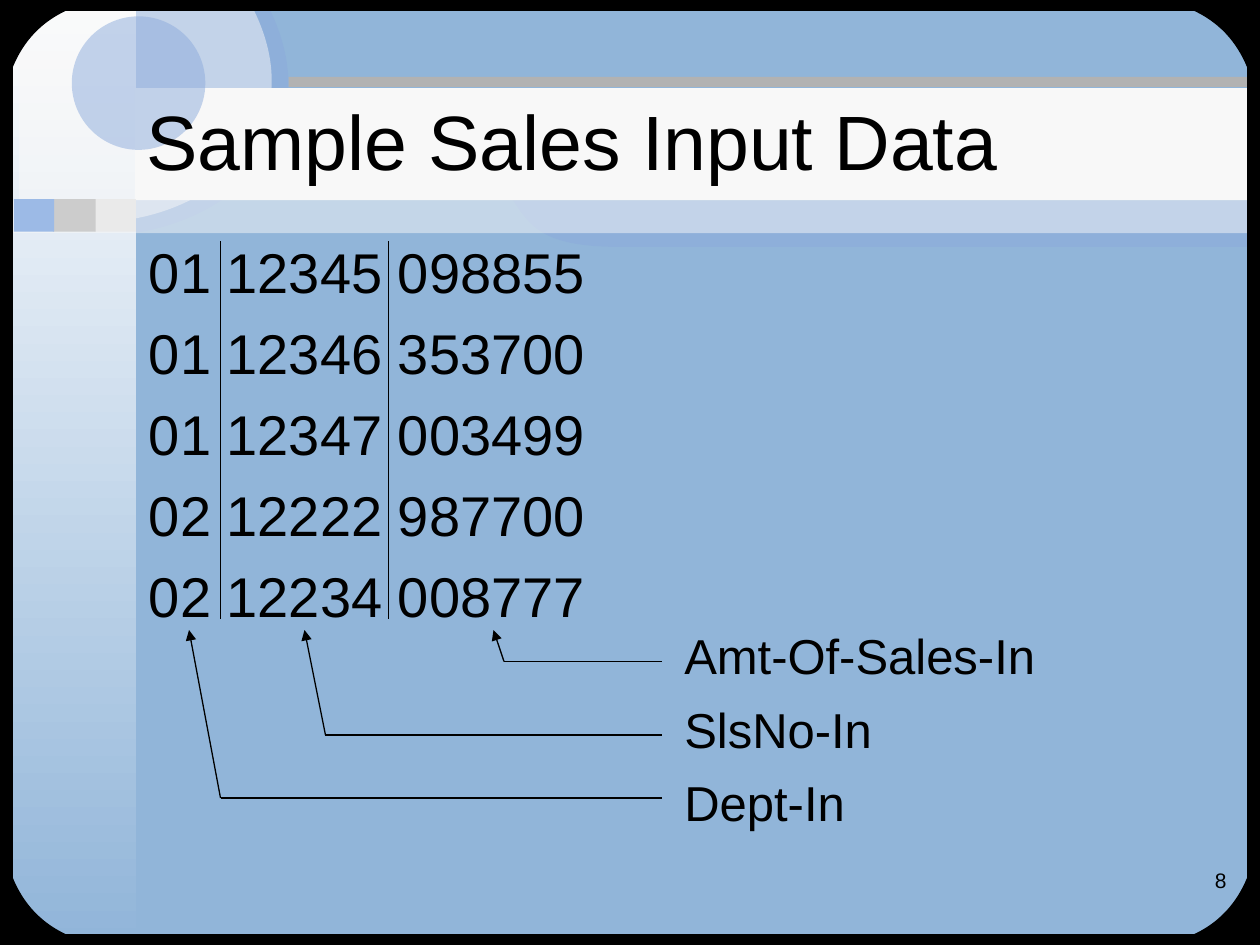
from pptx import Presentation
from pptx.dml.color import RGBColor
from pptx.enum.shapes import MSO_CONNECTOR as Line, MSO_SHAPE as Preset
from pptx.enum.text import MSO_ANCHOR as Anchor, MSO_AUTO_SIZE as AutoSize, PP_ALIGN as Align
from pptx.oxml.ns import qn
from pptx.util import Inches, Pt
from lxml.etree import SubElement

WIDTH, HEIGHT = 10, 7.5
BLACK = RGBColor(0x00, 0x00, 0x00)
SKY = RGBColor(0x91, 0xB5, 0xD9)
BLUE = RGBColor(0x8C, 0xAB, 0xDC)
PALE = RGBColor(0xF8, 0xF8, 0xF8)
WHITE = RGBColor(0xFE, 0xFE, 0xFE)
GRAY = RGBColor(0xB2, 0xB2, 0xB2)
TILES = [
    (0.75, 0.33, RGBColor(0xEA, 0xEA, 0xEA)),
    (0.42, 0.34, RGBColor(0xCC, 0xCC, 0xCC)),
    (0.11, 0.32, RGBColor(0x9C, 0xBA, 0xE6)),
]
SWOOSH = [(4.07, 1.59), (6.99, 1.59), (9.91, 1.59), (9.91, 1.59),
          (9.91, 1.59), (9.91, 1.78), (9.91, 1.96),
          (7.13, 1.96), (5.65, 1.96), (4.91, 1.96),
          (4.29, 1.96), (4.2, 1.78), (4.07, 1.59)]
OUTER_ARC = [(2.13, 0.05), (2.81, 1.41), (1.16, 2.21), (0.15, 1.73),
             (0.15, 1.62), (0.15, 0.32), (0.15, 0.05),
             (0.57, 0.05), (1.48, 0.05), (2.13, 0.05)]
INNER_ARC = [(2.01, 0.07), (2.64, 1.34), (1.09, 2.08), (0.15, 1.63),
             (0.15, 1.53), (0.15, 0.32), (0.15, 0.07),
             (0.54, 0.07), (1.39, 0.07), (2.01, 0.07)]
CORNER = [(0, 0.88), (0, 0.68), (0.01, 0.44), (0.01, 0),
          (0.24, 0), (0.65, 0), (0.77, 0),
          (0.09, 0.14), (0.05, 0.7), (0, 0.88)]
RECORDS = ["01 12345 098855", "01 12346 353700", "01 12347 003499",
           "02 12222 987700", "02 12234 008777"]
FIELDS = [("Amt-Of-Sales-In", 63, 48, 47),
          ("SlsNo-In", 70, 31, 29),
          ("Dept-In", 76, 21, 18)]


def twelfths(*counts):
    """Return lengths in inches on a grid of twelve per inch."""
    return tuple(count / 12 for count in counts)


def paint(shape, color, alpha=100, outlined=False):
    """Give a shape a flat fill, optionally see-through or outlined."""
    shape.shadow.inherit = False
    shape.fill.solid()
    shape.fill.fore_color.rgb = color
    if alpha < 100:
        tint = shape.fill._xPr.find(qn("a:solidFill"))[0]
        SubElement(tint, qn("a:alpha"), val=str(alpha * 1000))
    if outlined:
        shape.line.color.rgb = color
        shape.line.width = Pt(0.75)
    else:
        shape.line.fill.background()


def add_block(page, bounds, color, alpha=100, outlined=False, preset=Preset.RECTANGLE):
    """Add a painted preset shape."""
    block = page.shapes.add_shape(preset, *map(Inches, bounds))
    paint(block, color, alpha, outlined)
    return block


def add_curve(page, knots, color, alpha=100, outlined=False):
    """Add a closed, painted outline made of cubic curves."""
    points = [(Inches(x), Inches(y)) for x, y in knots]
    builder = page.shapes.build_freeform(*points[0])
    builder.add_line_segments(points[1:], close=True)
    shape = builder.convert_to_shape()
    segments = list(shape._element.iter(qn("a:lnTo")))
    for start in range(0, len(segments), 3):
        curve, *controls = segments[start:start + 3]
        bezier = curve.makeelement(qn("a:cubicBezTo"))
        curve.addprevious(bezier)
        for segment in (curve, *controls):
            bezier.append(segment[0])
            segment.getparent().remove(segment)
    paint(shape, color, alpha, outlined)


def add_line(page, start, end, arrow=False):
    """Add a thin black line, optionally with an arrowhead at its end."""
    line = page.shapes.add_connector(Line.STRAIGHT, *map(Inches, start + end))
    line.line.color.rgb = BLACK
    line.line.width = Pt(0.75)
    if arrow:
        SubElement(line.line._get_or_add_ln(), qn("a:tailEnd"), type="triangle")
    SubElement(line._element.spPr, qn("a:effectLst"))


def write(box, lines, size, before=0, align=Align.LEFT):
    """Fill a text shape with one formatted paragraph per line."""
    frame = box.text_frame
    frame.word_wrap = True
    frame.auto_size = AutoSize.NONE
    for index, text in enumerate(lines):
        para = frame.add_paragraph() if index else frame.paragraphs[0]
        para.alignment = align
        para.space_before = Pt(before)
        span = para.add_run()
        span.text = text
        span.font.name = "Arial"
        span.font.size = Pt(size)
        span.font.color.rgb = BLACK


def add_text(page, bounds, lines, size, **layout):
    """Add a text box."""
    write(page.shapes.add_textbox(*map(Inches, bounds)), lines, size, **layout)


def add_backdrop(page):
    """Draw the bands, arcs and tiles behind the content."""
    page.background.fill.solid()
    page.background.fill.fore_color.rgb = SKY
    add_curve(page, SWOOSH, BLUE, 50)
    add_curve(page, OUTER_ARC, BLUE, 50)
    add_block(page, (2.29, 0.61, 7.71, 0.08), GRAY)
    side = add_block(page, (0, 0, 1.08, HEIGHT), WHITE)
    side.fill.gradient()
    side.fill.gradient_angle = 270
    for stop, color, place in zip(side.fill.gradient_stops, (WHITE, SKY), (0, 1)):
        stop.color.rgb = color
        stop.position = place
    add_block(page, (0, 1.59, WIDTH, 0.26), PALE, 50)
    add_block(page, (1.07, 0.7, 8.93, 0.89), PALE)
    add_curve(page, INNER_ARC, PALE, 50)
    add_block(page, (0.57, 0.13, 1.06, 1.06), BLUE, 50, preset=Preset.OVAL)
    for left, width, color in TILES:
        add_block(page, (left, 1.58, width, 0.26), color)


def add_frame(page):
    """Draw the black border with rounded inner corners."""
    for bounds in ((0, 0, 0.1, HEIGHT), (9.9, 0, 0.1, HEIGHT),
                   (0, 0, WIDTH, 0.08), (0, 7.42, WIDTH, 0.08)):
        add_block(page, bounds, BLACK, outlined=True)
    for right in (0, WIDTH):
        for bottom in (0, HEIGHT):
            knots = [(abs(right - x), abs(bottom - y)) for x, y in CORNER]
            add_curve(page, knots, BLACK, outlined=True)


def add_title(page, text):
    """Place the title above the backdrop."""
    title = page.shapes.title
    title.left, title.top, title.width, title.height = map(Inches, (1.06, 0.48, 8.7, 1.25))
    title.text_frame.vertical_anchor = Anchor.MIDDLE
    write(title, [text], 44)
    title._element.getparent().append(title._element)


def add_fields(page):
    """Label each field and point an arrow at its column."""
    for row, (name, level, bend, tip) in enumerate(FIELDS):
        left, top = twelfths(64, 59 + 7 * row)
        add_text(page, (left, top, 3, 0.57), [name], 28, before=17.5)
        corner = twelfths(bend, level)
        add_line(page, twelfths(63, level), corner)
        add_line(page, corner, twelfths(tip, 60), arrow=True)


def main():
    """Build the slide and save it."""
    deck = Presentation()
    deck.slide_width, deck.slide_height = Inches(WIDTH), Inches(HEIGHT)
    page = deck.slides.add_slide(deck.slide_layouts[5])
    add_backdrop(page)
    add_frame(page)
    add_title(page, "Sample Sales Input Data")
    add_text(page, (*twelfths(13, 22), 8.5, 4.87), RECORDS, 32, before=8)
    for divider in (21, 37):
        add_line(page, twelfths(divider, 23), twelfths(divider, 59))
    add_fields(page)
    add_text(page, twelfths(93, 82, 25, 6), ["8"], 12, align=Align.RIGHT)
    deck.save("out.pptx")


if __name__ == "__main__":
    main()
